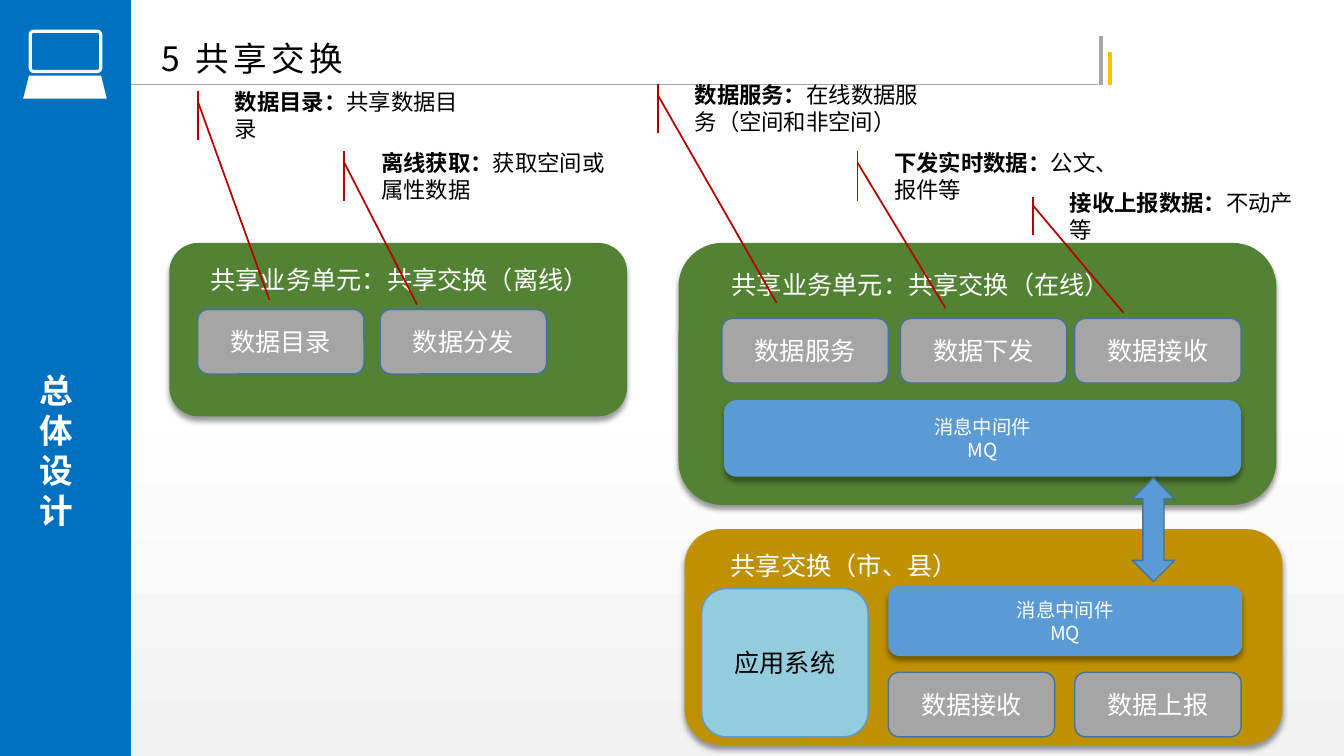
"""Build the data sharing and exchange overview slide."""
from lxml import etree
from pptx import Presentation
from pptx.dml.color import RGBColor
from pptx.enum.shapes import MSO_CONNECTOR, MSO_SHAPE as SHAPE
from pptx.enum.text import MSO_ANCHOR as ANCHOR, PP_ALIGN as ALIGN
from pptx.oxml.ns import qn
from pptx.util import Inches, Pt

FONT = "Noto Sans CJK SC"
WHITE, BLACK, GREY, BLUE, EDGE = "FFFFFF", "000000", "A5A5A5", "5B9BD5", "43739E"
GREEN, GOLD, SIDEBAR, RED, RULE = "548235", "BF9000", "0070C0", "B40000", "A6A6A6"

TITLE = "5 共享交换"
SECTION = "总体设计"
RULES = [
    ((0, 0.84), (10.89, 0.84), RULE, 0.5),
    ((10.92, 0.84), (10.92, 0.36), RULE, 3),
    ((11.01, 0.84), (11.01, 0.52), "FFC000", 3),
]
PANELS = [
    ((6.73, 2.41, 5.93, 2.6), GREEN, "共享业务单元：共享交换（在线）", (7.16, 2.62, 4.07, 0.4)),
    ((1.68, 2.41, 4.54, 1.72), GREEN, "共享业务单元：共享交换（离线）", (1.99, 2.57, 3.99, 0.4)),
    ((6.79, 5.25, 5.93, 2.14), GOLD, "共享交换（市、县）", (7.15, 5.41, 2.47, 0.4)),
]
MIDDLEWARE = ["消息中间件", "MQ"]
QUEUES = [(7.18, 3.97, 5.13, 0.76), (8.81, 5.81, 3.51, 0.7)]
MODULE_SIZE = (1.65, 0.64)
MODULE_ROWS = [
    (3.07, SHAPE.ROUNDED_RECTANGLE, [(1.96, "数据目录"), (3.77, "数据分发")]),
    (3.16, SHAPE.FLOWCHART_ALTERNATE_PROCESS,
     [(7.16, "数据服务"), (8.93, "数据下发"), (10.66, "数据接收")]),
    (6.67, SHAPE.FLOWCHART_ALTERNATE_PROCESS, [(8.81, "数据接收"), (10.66, "数据上报")]),
]
APPLICATION = ("应用系统", (6.96, 5.84, 1.65, 1.47))
SYNC_ARROW = (11.23, 4.74, 0.42, 1.03)
CALLOUT_WIDTH = 2.81
CALLOUTS = [
    (2.06, 0.9, 0.49, (4.231, 0.218), "数据目录：", "共享数据目录"),
    (3.51, 1.5, 0.49, (3.102, 0.223), "离线获取：", "获取空间或属性数据"),
    (6.62, 0.83, 0.49, (4.436, 0.385), "数据服务：", "在线数据服务（空间和非空间）"),
    (8.6, 1.5, 0.49, (3.179, 0.277), "下发实时数据：", "公文、报件等"),
    (10.34, 1.95, 0.38, (3.038, 0.286), "接收上报数据：", "不动产等"),
]

prs = Presentation()
prs.slide_width, prs.slide_height = Inches(13.33), Inches(7.5)
slide = prs.slides.add_slide(prs.slide_layouts[6])


def rgb(value):
    return RGBColor.from_string(value)


def apply(target, formats):
    for name, value in formats.items():
        setattr(target, name, value)


def write(shape, paragraphs, size, color, align=ALIGN.LEFT, frame=None):
    text = shape.text_frame
    apply(text, {"word_wrap": True, "vertical_anchor": ANCHOR.MIDDLE, **(frame or {})})
    for index, runs in enumerate(paragraphs):
        paragraph = text.add_paragraph() if index else text.paragraphs[0]
        paragraph.alignment = align
        for words, bold in runs:
            run = paragraph.add_run()
            run.text = words
            apply(run.font, {"size": Pt(size), "bold": bold, "name": FONT})
            run.font.color.rgb = rgb(color)
            etree.SubElement(run.font._element, qn("a:ea")).set("typeface", FONT)
    return text


def add_box(box, kind, fill=None, line=None, weight=1, shadow=False):
    shape = slide.shapes.add_shape(kind, *map(Inches, box))
    shape.shadow.inherit = False
    if fill:
        shape.fill.solid()
        shape.fill.fore_color.rgb = rgb(fill)
    else:
        shape.fill.background()
    if line:
        shape.line.color.rgb = rgb(line)
        shape.line.width = Pt(weight)
    else:
        shape.line.fill.background()
    if shadow:
        effects = shape._element.spPr.find(qn("a:effectLst"))
        outer = etree.SubElement(effects, qn("a:outerShdw"), blurRad=str(Pt(4)),
                                 dist=str(Pt(3)), dir="5400000", rotWithShape="0")
        tint = etree.SubElement(outer, qn("a:srgbClr"), val=BLACK)
        etree.SubElement(tint, qn("a:alpha"), val="40000")
    return shape


def add_text(box, words, size, color, bold=False, **frame):
    label = slide.shapes.add_textbox(*map(Inches, box))
    return write(label, [[(words, bold)]], size, color, frame=frame)


def add_rule(start, end, color, weight):
    rule = slide.shapes.add_connector(MSO_CONNECTOR.STRAIGHT, *map(Inches, start + end))
    rule.line.color.rgb = rgb(color)
    rule.line.width = Pt(weight)
    etree.SubElement(rule._element.spPr, qn("a:effectLst"))


def add_frame():
    backdrop = slide.background.fill
    backdrop.gradient()
    backdrop.gradient_angle = 270
    for stop, (position, color) in zip(backdrop.gradient_stops, [(0.5, WHITE), (1, "F2F2F2")]):
        stop.position = position
        stop.color.rgb = rgb(color)
    for rule in RULES:
        add_rule(*rule)
    add_box((0, 0, 1.3, 7.5), SHAPE.RECTANGLE, SIDEBAR)
    section = add_text((0.29, 1.43, 0.72, 6.07), SECTION, 24, WHITE, True)
    section._txBody.bodyPr.set("vert", "wordArtVertRtl")
    screen = add_box((0.3, 0.31, 0.7, 0.4), SHAPE.ROUNDED_RECTANGLE, SIDEBAR, WHITE, 2.25)
    screen.adjustments[0] = 0.09
    add_box((0.23, 0.75, 0.83, 0.23), SHAPE.TRAPEZOID, WHITE)
    title = add_text((1.5, 0.28, 6.82, 0.55), TITLE, 24, BLACK, vertical_anchor=ANCHOR.BOTTOM)
    title.paragraphs[0].line_spacing = 0.9
    title.paragraphs[0].runs[0].font._element.set("spc", "300")


def add_diagram():
    for box, fill, heading, place in PANELS:
        add_box(box, SHAPE.ROUNDED_RECTANGLE, fill, shadow=True)
        add_text(place, heading, 18, WHITE, word_wrap=False, vertical_anchor=ANCHOR.TOP)
    for top, kind, modules in MODULE_ROWS:
        for left, name in modules:
            module = add_box((left, top, *MODULE_SIZE), kind, GREY, EDGE)
            write(module, [[(name, False)]], 18, WHITE, ALIGN.CENTER)
    for box in QUEUES:
        queue = add_box(box, SHAPE.ROUNDED_RECTANGLE, BLUE, shadow=True)
        write(queue, [[(words, False)] for words in MIDDLEWARE], 13.8, WHITE, ALIGN.CENTER)
    name, box = APPLICATION
    application = add_box(box, SHAPE.FLOWCHART_ALTERNATE_PROCESS, "93CDDD", BLUE)
    write(application, [[(name, False)]], 18, BLACK, ALIGN.CENTER)
    add_box(SYNC_ARROW, SHAPE.UP_DOWN_ARROW, BLUE, EDGE)


def add_callouts():
    insets = {"margin_left": Inches(0.27), "margin_right": Inches(0.27),
              "margin_top": Inches(0.13), "margin_bottom": Inches(0.13)}
    for left, top, height, tip, term, meaning in CALLOUTS:
        callout = add_box((left, top, CALLOUT_WIDTH, height),
                          SHAPE.LINE_CALLOUT_1_ACCENT_BAR, line=RED, weight=1.25)
        for index, value in enumerate((0.232, -0.034, *tip)):
            callout.adjustments[index] = value
        write(callout, [[(term, True), (meaning, False)]], 16, BLACK, frame=insets)


if __name__ == "__main__":
    add_frame()
    add_diagram()
    add_callouts()
    prs.save("out.pptx")
